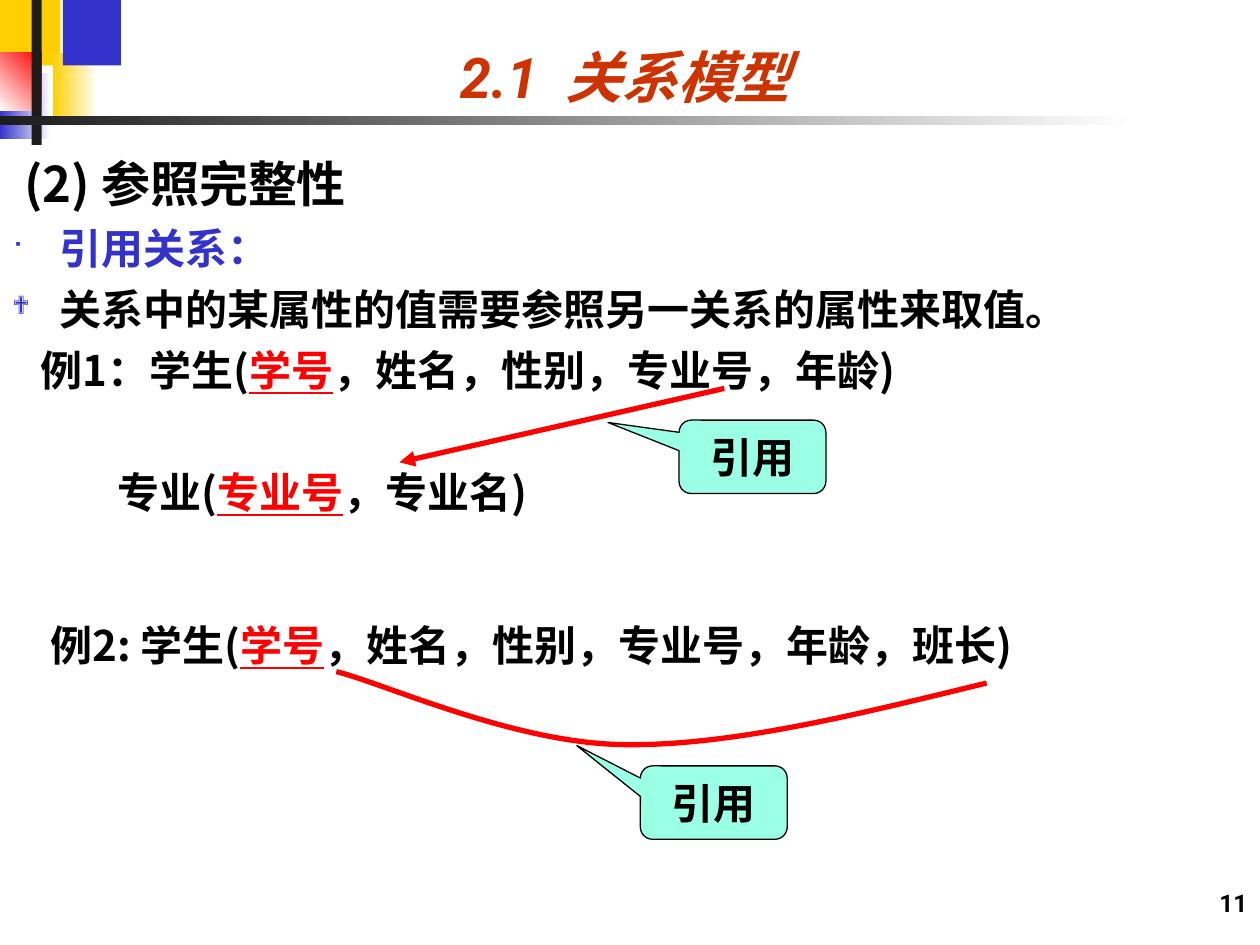
from lxml import etree
from pptx import Presentation
from pptx.dml.color import RGBColor
from pptx.enum.shapes import MSO_CONNECTOR as CONN, MSO_SHAPE as SHAPE
from pptx.enum.text import MSO_ANCHOR as ANCHOR, PP_ALIGN as ALIGN
from pptx.oxml.ns import qn
from pptx.util import Cm, Pt

COLORS = {
    "black": "000000", "white": "FFFFFF", "dark": "1C1C1C", "yellow": "FFCF01",
    "blue": "3333CC", "red": "FF0000", "title": "CC3300", "mint": "9BFFE5",
}
LATIN, CJK = "Roboto", "Noto Sans CJK SC"


def rgb(name):
    return RGBColor.from_string(COLORS[name])


def add_run(p, text, color="black", latin=CJK, **fmt):
    r = p.add_run()
    r.text = text
    for key, value in {"size": Pt(24), "bold": True, "name": latin, **fmt}.items():
        setattr(r.font, key, value)
    r.font.color.rgb = rgb(color)
    etree.SubElement(r.font._element, qn("a:ea"), typeface=CJK)


def add_textbox(slide, box, anchor=ANCHOR.TOP):
    tf = slide.shapes.add_textbox(*map(Cm, box)).text_frame
    for key, value in {"word_wrap": True, "vertical_anchor": anchor}.items():
        setattr(tf, key, value)
    return tf


def set_indent(p, left, first=0.0, bullet=None):
    pPr = p._p.get_or_add_pPr()
    pPr.set("marL", str(Cm(left)))
    pPr.set("indent", str(Cm(first)))
    if bullet:
        clr = etree.SubElement(pPr, qn("a:buClr"))
        etree.SubElement(clr, qn("a:srgbClr"), val=COLORS["blue"])
        etree.SubElement(pPr, qn("a:buSzPct"), val="60000")
        etree.SubElement(pPr, qn("a:buFont"), typeface="Wingdings")
        etree.SubElement(pPr, qn("a:buChar"), char=bullet)


def add_relation(p, lead, key, rest):
    """Relation schema with its key underlined in red."""
    add_run(p, lead)
    add_run(p, key, "red", underline=True)
    add_run(p, rest)


def decoration(slide, box):
    x, y, w, _ = box
    blocks = [  # left, top, width, height, colours, angle
        (0, 0, 1.22, 1.32, ["yellow"], 0),
        (1.06, 1.06, 0.91, 1.32, ["yellow", "white"], 0),
        (1.27, 0, 1.17, 1.32, ["blue"], 0),
        (0, 1.48, 1.02, 1.32, ["blue", "white"], 0),
        (0, 1.06, 0.84, 1.17, ["white", "red"], 45),
        (0.64, 0, 0.2, 2.92, ["dark"], 0),
        (0, 2.33, w, 0.2, ["dark", "white"], 0),
    ]
    for left, top, width, height, names, angle in blocks:
        sp = slide.shapes.add_shape(SHAPE.RECTANGLE, Cm(x + left), Cm(y + top), Cm(width), Cm(height))
        sp.shadow.inherit = False
        sp.line.fill.background()
        if len(names) == 1:
            sp.fill.solid()
            sp.fill.fore_color.rgb = rgb(names[0])
            continue
        sp.fill.gradient()
        sp.fill.gradient_angle = angle
        for stop, name, pos in zip(sp.fill.gradient_stops, names, (0, 1)):
            stop.color.rgb = rgb(name)
            stop.position = pos


def title(slide, box):
    p = add_textbox(slide, box, ANCHOR.BOTTOM).paragraphs[0]
    p.alignment = ALIGN.CENTER
    add_run(p, "2.1  关系模型", "title", LATIN, size=Pt(32), italic=True)


def callout(slide, box, tip):
    sp = slide.shapes.add_shape(SHAPE.ROUNDED_RECTANGULAR_CALLOUT, *map(Cm, box))
    sp.shadow.inherit = False
    sp.adjustments[0], sp.adjustments[1] = tip
    sp.fill.solid()
    sp.fill.fore_color.rgb = rgb("mint")
    sp.line.color.rgb = rgb("black")
    sp.line.width = Pt(0.75)
    sp.text_frame.vertical_anchor = ANCHOR.MIDDLE
    p = sp.text_frame.paragraphs[0]
    p.alignment = ALIGN.CENTER
    add_run(p, "引用")


def definition(slide, box):
    x, y, _, _ = box
    tf = add_textbox(slide, box)
    p = tf.paragraphs[0]
    set_indent(p, 0.24)
    add_run(p, "(2) 参照完整性", size=Pt(28))
    for bullet, text, color in [
        ("■", "引用关系：", "blue"),
        ("❖", "关系中的某属性的值需要参照另一关系的属性来取值。", "black"),
    ]:
        p = tf.add_paragraph()
        set_indent(p, 0.95, -0.95, bullet)
        p.space_before = Pt(6)
        add_run(p, text, color)
    # The second relation stands one line lower
    for left, gap, parts in [
        (0.57, 6, ("例1：学生(", "学号", "，姓名，性别，专业号，年龄)")),
        (2.12, 41, ("专业(", "专业号", "，专业名)")),
    ]:
        p = tf.add_paragraph()
        set_indent(p, left)
        p.space_before = Pt(gap)
        add_relation(p, *parts)

    # Reference from student to major
    line = slide.shapes.add_connector(
        CONN.STRAIGHT, Cm(x + 14.6), Cm(y + 4.86), Cm(x + 8.05), Cm(y + 6.35))
    line.line.color.rgb = rgb("red")
    line.line.width = Pt(3)
    etree.SubElement(line.line._get_or_add_ln(), qn("a:tailEnd"), type="triangle")
    etree.SubElement(line._element.spPr, qn("a:effectLst"))
    callout(slide, (x + 13.69, y + 5.5, 2.96, 1.48), (-0.984, -0.467))


def self_reference(slide, box):
    x, y, _, _ = box
    p = add_textbox(slide, box).paragraphs[0]
    set_indent(p, 0.77)
    add_relation(p, "例2: 学生(", "学号", "，姓名，性别，专业号，年龄，班长)")

    # Curve from monitor back to student number: two cubic segments
    start, *controls = [
        (Cm(x + dx), Cm(y + dy)) for dx, dy in [
            (19.89, 1.4), (17.3, 2.03), (14.68, 2.69), (12.5, 2.64),
            (10.31, 2.59), (7.72, 1.4), (6.78, 1.17)]]
    builder = slide.shapes.build_freeform(*start)
    builder.add_line_segments(controls, close=False)
    curve = builder.convert_to_shape()
    curve.shadow.inherit = False
    curve.fill.background()
    curve.line.color.rgb = rgb("red")
    curve.line.width = Pt(3)
    segments = list(curve._element.iter(qn("a:lnTo")))
    outline = segments[0].getparent()
    for i in range(0, len(segments), 3):
        bezier = etree.SubElement(outline, qn("a:cubicBezTo"))
        for seg in segments[i:i + 3]:
            bezier.append(seg[0])
            outline.remove(seg)
    callout(slide, (x + 12.91, y + 3.07, 2.96, 1.48), (-0.933, -0.777))


def slide_number(slide, box):
    p = add_textbox(slide, box).paragraphs[0]
    p.alignment = ALIGN.RIGHT
    add_run(p, "11", latin=LATIN, size=Pt(14))


def main():
    prs = Presentation()
    prs.slide_width, prs.slide_height = Cm(25.4), Cm(19.05)
    slide = prs.slides.add_slide(prs.slide_layouts[6])
    decoration(slide, (0, 0, 22.86, 2.92))
    title(slide, (2.54, 0, 20.12, 2.33))
    definition(slide, (0, 2.97, 23.06, 8.56))
    self_reference(slide, (0, 12.37, 25.4, 2.92))
    slide_number(slide, (20.12, 17.78, 5.28, 1.27))
    prs.save("out.pptx")


if __name__ == "__main__":
    main()
